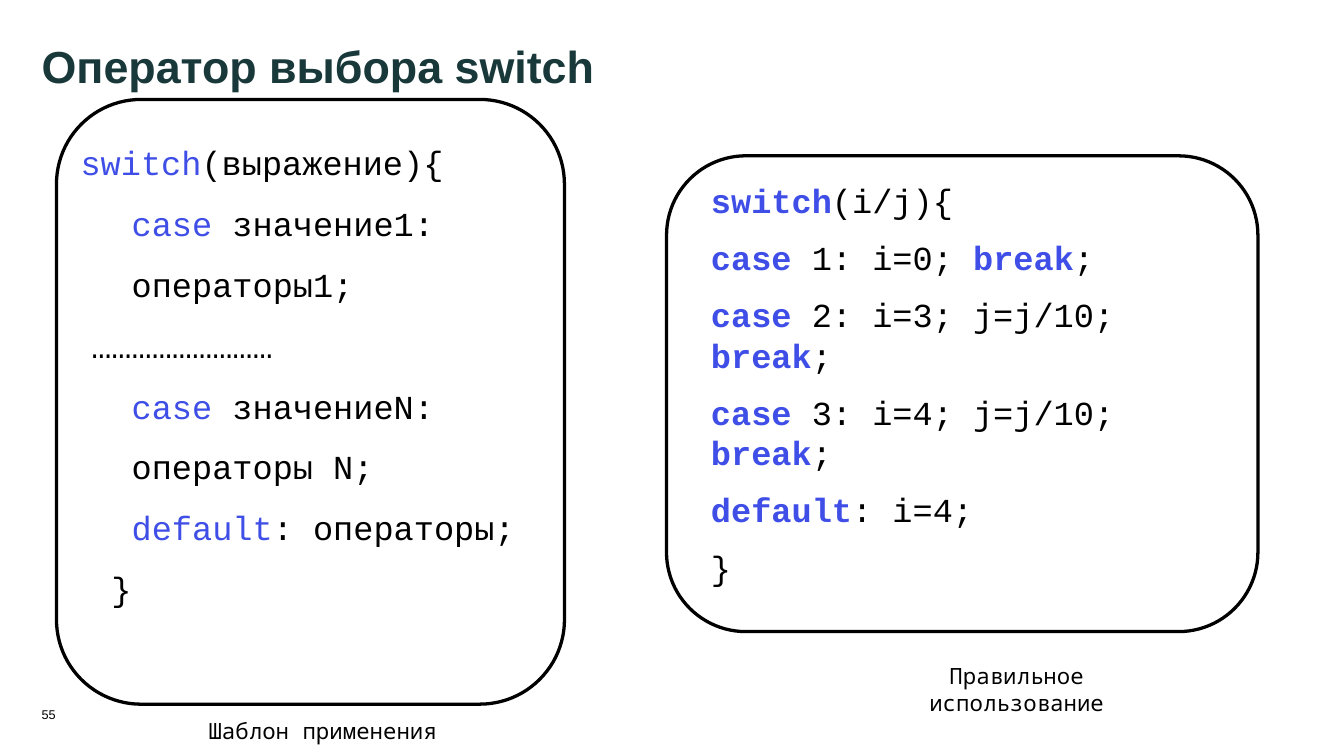
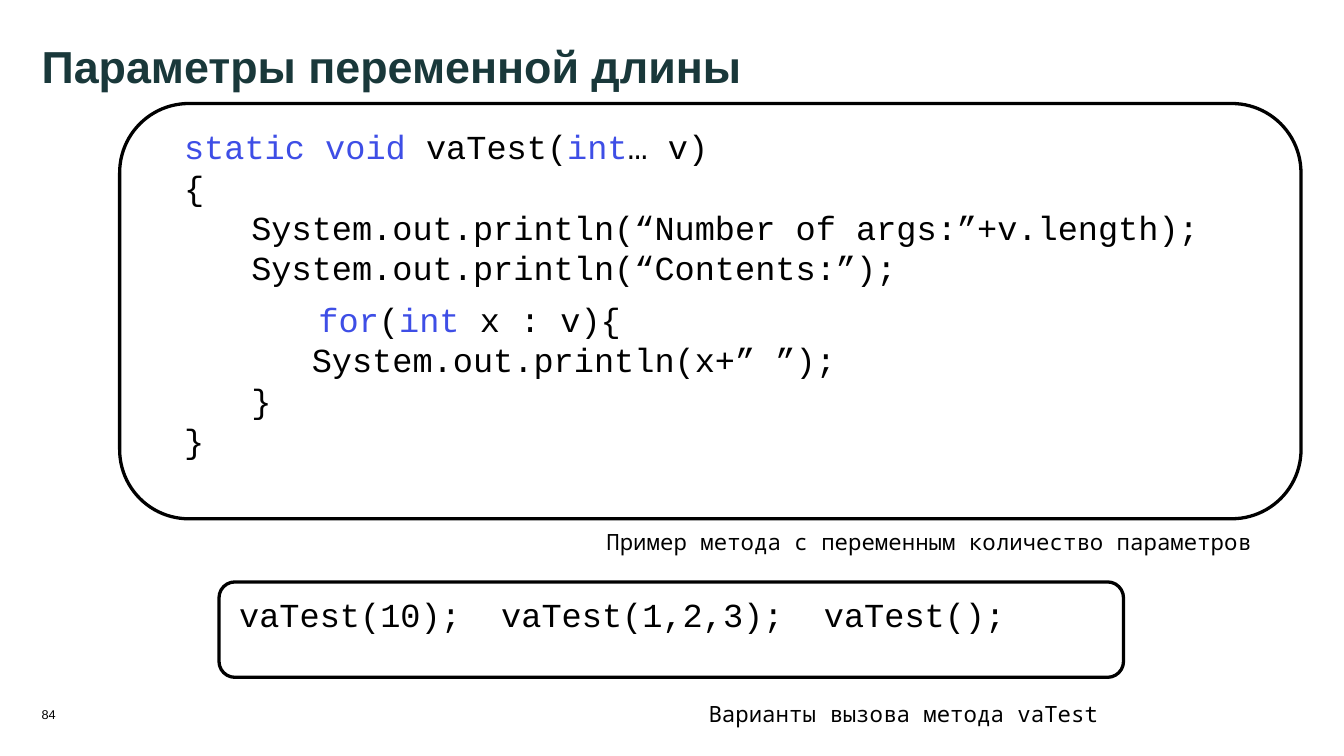
"""Build two slides on the switch operator and variable-length parameters."""
from lxml import etree
from pptx import Presentation
from pptx.dml.color import RGBColor
from pptx.enum.shapes import MSO_SHAPE
from pptx.enum.text import MSO_ANCHOR, MSO_AUTO_SIZE, PP_ALIGN
from pptx.oxml.ns import qn
from pptx.util import Inches, Pt

LEFT, CENTER, RIGHT = PP_ALIGN.LEFT, PP_ALIGN.CENTER, PP_ALIGN.RIGHT
TOP, BOTTOM = MSO_ANCHOR.TOP, MSO_ANCHOR.BOTTOM
FIXED, GROW = MSO_AUTO_SIZE.NONE, MSO_AUTO_SIZE.SHAPE_TO_FIT_TEXT
FRAME = MSO_SHAPE.FLOWCHART_ALTERNATE_PROCESS

COLORS = {"title": "19383A", "text": "000000", "keyword": "3E4EE6"}
TITLE = {"name": "Arial", "size": Pt(24), "bold": True}
NUMBER = {"name": "Arial", "size": Pt(6.8), "bold": False}
CODE = {"name": "Courier New", "size": Pt(18), "bold": False}
CAPTION = {"name": "Noto Sans Mono", "size": Pt(12), "bold": False}
TABS = (0.5, 1.0)

SLIDES = [
    {
        "title": "Оператор выбора switch",
        "number": "55",
        "frames": [(0.42, 0.74, 3.78, 4.5), (4.96, 1.16, 4.4, 3.54)],
        "code": [
            {
                "box": (0.53, 0.99, 3.37, 3.03),
                "first_indent": 0.07,
                "para": {"line_spacing": 1.23, "space_before": Pt(6)},
                "lines": [
                    "*switch*(выражение){",
                    "   *case* значение1:",
                    "   операторы1;",
                    " ………………………",
                    "   *case* значениеN:",
                    "   операторы N;",
                    "   *default*: операторы;",
                    "  }",
                ],
            },
            {
                "box": (5.29, 1.34, 3.99, 3.18),
                "bold": True,
                "para": {"space_before": Pt(9)},
                "lines": [
                    "*switch*(i/j){",
                    "*case* 1: i=0; *break*;",
                    "*case* 2: i=3; j=j/10; *break*;",
                    "*case* 3: i=4; j=j/10; *break*;",
                    "*default*: i=4;",
                    "}",
                ],
            },
        ],
        "captions": [
            ("Шаблон применения", (1.28, 5.29, 2.07, 0.3), RIGHT),
            ("Правильное использование", (6.78, 4.88, 1.57, 0.5), CENTER),
        ],
    },
    {
        "title": "Параметры переменной длины",
        "number": "84",
        "frames": [(0.89, 0.77, 8.79, 3.09), (1.63, 4.33, 6.73, 0.71)],
        "code": [
            {
                "box": (1.37, 0.94, 7.83, 2.54),
                "para": {"space_before": Pt(6)},
                "lines": [
                    "*static void* vaTest(*int*… v)\n{\n"
                    "\tSystem.out.println(“Number of args:”+v.length);\n"
                    "\tSystem.out.println(“Contents:”);",
                    "\t\t*for*(*int* x : v){\n"
                    "\t   System.out.println(x+” ”);\n\t}\n}",
                ],
            },
            {
                "box": (1.78, 4.45, 6.44, 0.41),
                "para": {"line_spacing": 0.9},
                "lines": ["vaTest(10);  vaTest(1,2,3);  vaTest();"],
            },
        ],
        "captions": [
            ("Пример метода с переменным количество параметров",
             (3.44, 3.88, 5.97, 0.3), RIGHT),
            ("Варианты вызова метода vaTest", (2.3, 5.16, 5.97, 0.3), RIGHT),
        ],
    },
]


def add_run(p, text, font, color):
    r = p.add_run()
    r.text = text
    for name, value in font.items():
        setattr(r.font, name, value)
    r.font.color.rgb = RGBColor.from_string(COLORS[color])


def set_frame(sp, inset=0, **values):
    tf = sp.text_frame
    tf.margin_left = tf.margin_right = Inches(inset)
    tf.margin_top = tf.margin_bottom = Inches(inset / 2)
    settings = {"word_wrap": True, "auto_size": FIXED, "vertical_anchor": TOP}
    for name, value in (settings | values).items():
        setattr(tf, name, value)
    return tf.paragraphs[0]


prs = Presentation()
prs.slide_width = Inches(10)
prs.slide_height = prs.slide_width * 9 // 16

for page in SLIDES:
    s = prs.slides.add_slide(prs.slide_layouts[5])
    sp = s.shapes.title
    sp.left, sp.top, sp.width, sp.height = map(Inches, (0.31, 0.29, 9.37, 0.71))
    p = set_frame(sp)
    p.alignment = LEFT
    add_run(p, page["title"], TITLE, "title")

    sp = s.shapes.add_textbox(*map(Inches, (0.31, 5.02, 0.31, 0.35)))
    p = set_frame(sp, word_wrap=False, vertical_anchor=BOTTOM)
    add_run(p, page["number"], NUMBER, "text")

    for box in page["frames"]:
        sp = s.shapes.add_shape(FRAME, *map(Inches, box))
        sp.shadow.inherit = False
        sp.fill.background()
        sp.line.color.rgb = RGBColor.from_string(COLORS["text"])
        sp.line.width = Pt(1.75)

    for block in page["code"]:
        sp = s.shapes.add_textbox(*map(Inches, block["box"]))
        p = set_frame(sp)
        keyword_font = CODE | {"bold": block.get("bold", False)}
        for i, line in enumerate(block["lines"]):
            if i:
                p = sp.text_frame.add_paragraph()
            pPr = p._p.get_or_add_pPr()
            if i == 0 and "first_indent" in block:
                pPr.set("marL", str(Inches(block["first_indent"])))
            if "\t" in line:
                tabs = etree.SubElement(pPr, qn("a:tabLst"))
                for pos in TABS:
                    etree.SubElement(tabs, qn("a:tab"), pos=str(Inches(pos)), algn="l")
            for name, value in block["para"].items():
                if i or name != "space_before":
                    setattr(p, name, value)
            for j, part in enumerate(line.split("*")):
                font, color = (keyword_font, "keyword") if j % 2 else (CODE, "text")
                for k, piece in enumerate(part.split("\n")):
                    if k:
                        p.add_line_break()
                    if piece:
                        add_run(p, piece, font, color)

    for text, box, align in page["captions"]:
        sp = s.shapes.add_textbox(*map(Inches, box))
        p = set_frame(sp, 0.1, auto_size=GROW)
        p.alignment = align
        add_run(p, text, CAPTION, "text")

prs.save("out.pptx")
